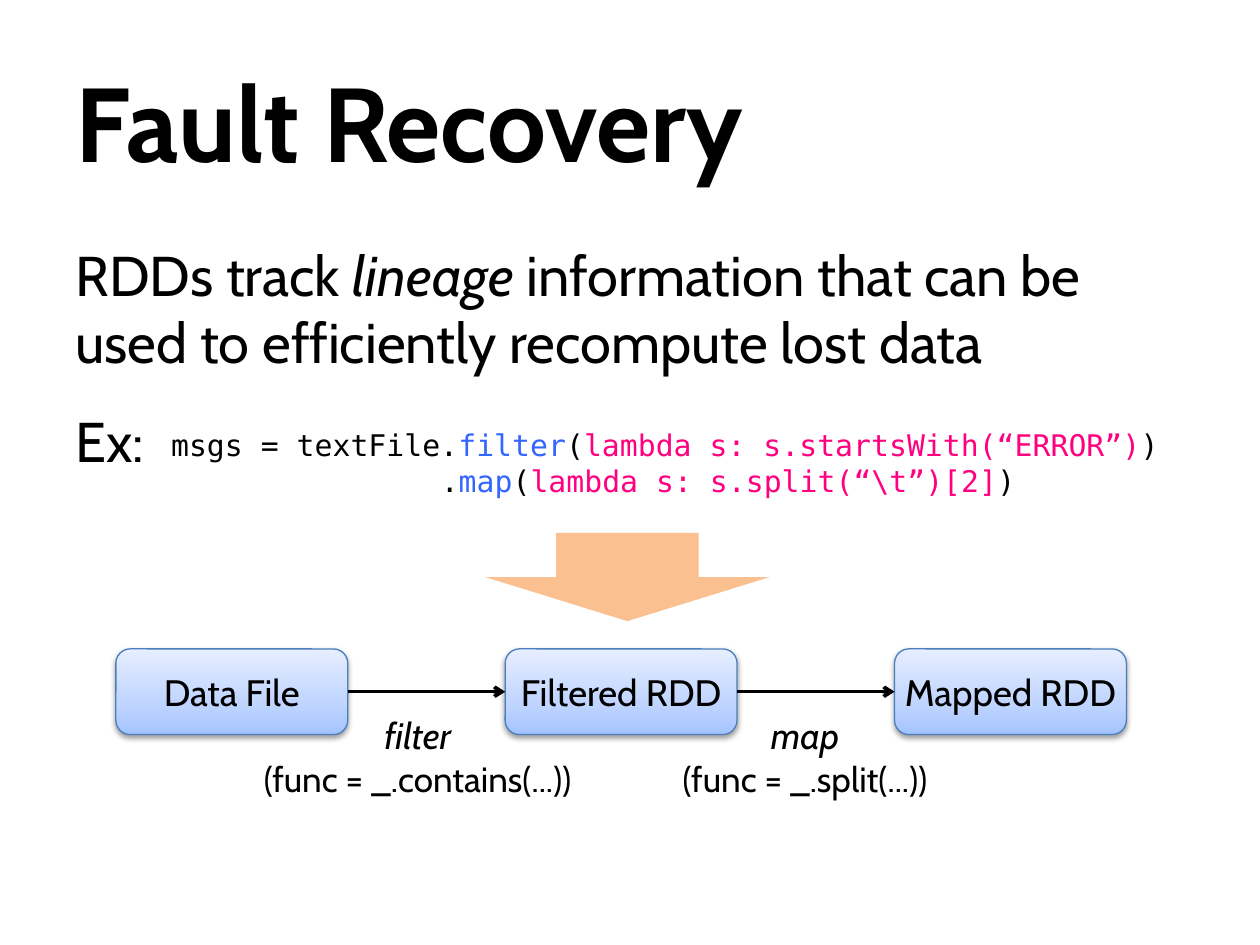
from copy import deepcopy
from dataclasses import dataclass

from lxml import etree
from pptx import Presentation
from pptx import util as u
from pptx.dml.color import RGBColor
from pptx.enum import shapes, text
from pptx.oxml.ns import qn

SANS, MONO = "Cabin", "DejaVu Sans Mono"
BLACK, BLUE, PINK = "000000", "3366FF", "FF0080"
MIDDLE, CENTER = text.MSO_ANCHOR.MIDDLE, text.PP_ALIGN.CENTER
LEFT, PITCH, TOP, BOX_W, BOX_H = 0.92, 3.09, 5.15, 1.84, 0.68
GRADIENT = ((0, "A4C4FF"), (0.35, "BFD4FF"), (1, "E6EEFF"))


@dataclass
class Run:
    text: str
    size: float
    color: str = BLACK
    font: str = SANS
    bold: bool = False
    italic: bool = False


@dataclass
class Step:
    name: str
    call: str
    left: float
    width: float


def rgb(value: str) -> RGBColor:
    return RGBColor.from_string(value)


def add_runs(p, runs: list[Run]) -> None:
    for run in runs:
        r = p.add_run()
        r.text = run.text
        f = r.font
        f.name, f.size, f.bold, f.italic = run.font, u.Pt(run.size), run.bold, run.italic
        f.color.rgb = rgb(run.color)


def add_text(s, x: float, y: float, w: float, h: float, paragraphs: list[list[Run]],
             wrap: bool = True, before: float = 0):
    tf = s.shapes.add_textbox(*map(u.Inches, (x, y, w, h))).text_frame
    tf.word_wrap = wrap
    for i, runs in enumerate(paragraphs):
        p = tf.add_paragraph() if i else tf.paragraphs[0]
        p.space_before = u.Pt(before)
        add_runs(p, runs)
    return tf


def add_shadow(sp) -> None:
    effects = etree.SubElement(sp._element.spPr, qn("a:effectLst"))
    shadow = etree.SubElement(effects, qn("a:outerShdw"), blurRad="40000",
                              dist="20000", dir="5400000", rotWithShape="0")
    color = etree.SubElement(shadow, qn("a:srgbClr"), val=BLACK)
    etree.SubElement(color, qn("a:alpha"), val="38000")


def add_dataset(s, column: int, name: str) -> None:
    sp = s.shapes.add_shape(shapes.MSO_SHAPE.ROUNDED_RECTANGLE,
                            *map(u.Inches, (LEFT + column * PITCH, TOP, BOX_W, BOX_H)))
    sp.fill.gradient()
    sp.fill.gradient_angle = 90
    stops = sp._element.spPr.find(".//" + qn("a:gsLst"))
    stops.append(deepcopy(stops[0]))
    for stop, (position, color) in zip(sp.fill.gradient_stops, GRADIENT):
        stop.position, stop.color.rgb = position, rgb(color)
    sp.line.color.rgb, sp.line.width = rgb("4B7EBC"), u.Pt(0.75)
    add_shadow(sp)
    tf = sp.text_frame
    tf.margin_left = tf.margin_right = 0
    tf.vertical_anchor = MIDDLE
    tf.paragraphs[0].alignment = CENTER
    add_runs(tf.paragraphs[0], [Run(name, 21)])


def add_step(s, column: int, step: Step) -> None:
    x, y = LEFT + column * PITCH, TOP + BOX_H / 2
    c = s.shapes.add_connector(shapes.MSO_CONNECTOR.STRAIGHT,
                               *map(u.Inches, (x + BOX_W, y, x + PITCH, y)))
    c.line.color.rgb, c.line.width = rgb(BLACK), u.Pt(2)
    etree.SubElement(c.line._get_or_add_ln(), qn("a:tailEnd"), type="arrow")
    etree.SubElement(c._element.spPr, qn("a:effectLst"))
    p = add_text(s, step.left, 5.61, step.width, 0.79,
                 [[Run(step.name, 21, italic=True)]], wrap=False).paragraphs[0]
    p.alignment = CENTER
    p.add_line_break()
    add_runs(p, [Run(f"(func = _.{step.call}(...))", 20)])


def code(*parts: tuple[str, str]) -> list[Run]:
    return [Run(t, 17, color, MONO) for t, color in parts]


prs = Presentation()
prs.slide_width, prs.slide_height = u.Inches(10), u.Inches(7.5)
s = prs.slides.add_slide(prs.slide_layouts[6])

title = add_text(s, 0.5, 0.33, 9, 1.25, [[Run("Fault Recovery", 60, bold=True)]])
title.vertical_anchor = MIDDLE
add_text(s, 0.5, 1.86, 9.08, 4.56, [
    [Run("RDDs track ", 32), Run("lineage", 32, italic=True),
     Run(" information that can be used to efficiently recompute lost data", 32)],
    [Run("Ex:", 32)],
], before=18)
listing = add_text(s, 1.26, 3.34, 8.47, 0.67, [
    code(("msgs = textFile.", BLACK), ("filter", BLUE), ("(", BLACK),
         ("lambda s: s.startsWith(“ERROR”)", PINK), (")", BLACK)),
    code((".", BLACK), ("map", BLUE), ("(", BLACK),
         ("lambda s: s.split(“\\t”)[2]", PINK), (")", BLACK)),
])
listing.paragraphs[1]._p.get_or_add_pPr().set("marL", str(u.Inches(2.14)))

for column, name in enumerate(("Data File", "Filtered RDD", "Mapped RDD")):
    add_dataset(s, column, name)
for column, step in enumerate((Step("filter", "contains", 1.96, 2.71),
                               Step("map", "split", 5.28, 2.22))):
    add_step(s, column, step)

arrow = s.shapes.add_shape(shapes.MSO_SHAPE.DOWN_ARROW,
                           *map(u.Inches, (3.85, 4.23, 2.26, 0.7)))
arrow.shadow.inherit = False
arrow.fill.solid()
arrow.fill.fore_color.rgb = rgb("FAC090")
arrow.line.fill.background()

prs.save("out.pptx")
